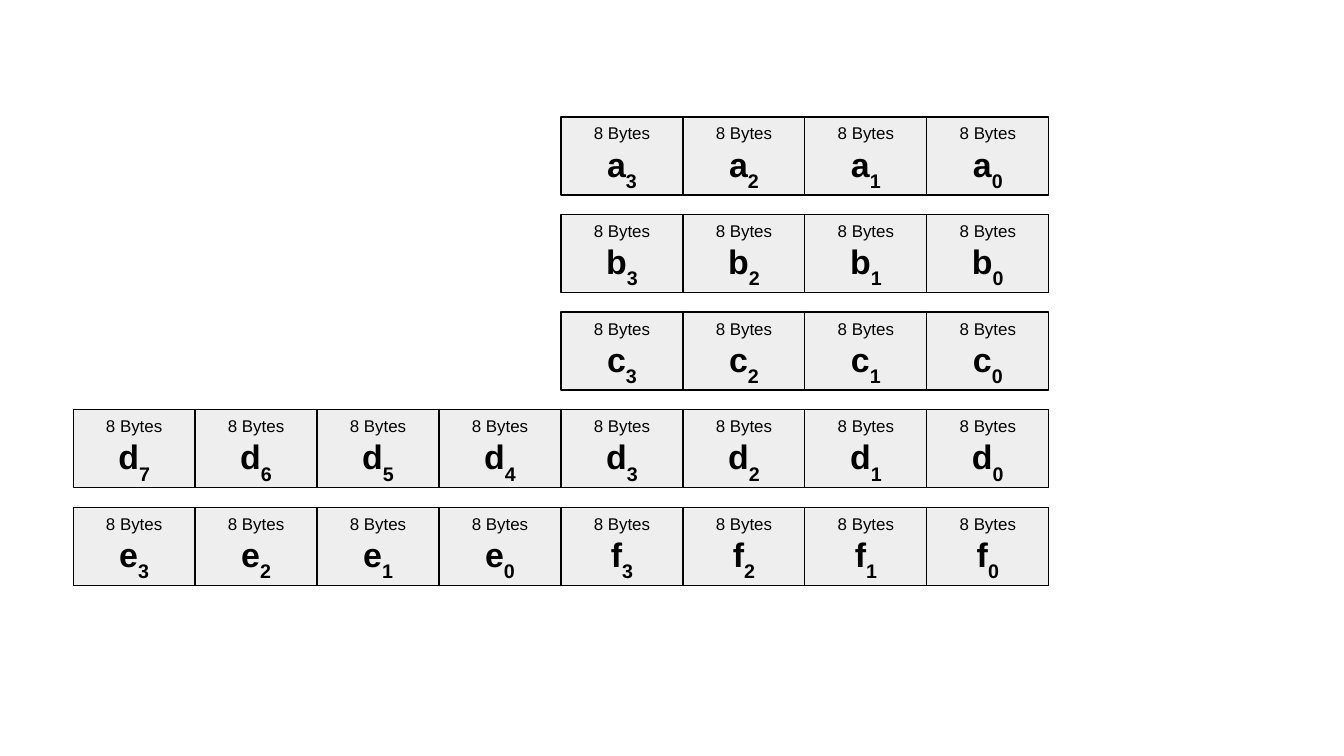
"""Draw the 8-byte words of the values a to f as rows of labelled cells."""
from pptx import Presentation, util as u
from pptx.dml.color import RGBColor
from pptx.enum import shapes, text

COLORS = {"cell": "EEEEEE", "ink": "000000"}
ROWS = [
    [("a", 4)],
    [("b", 4)],
    [("c", 4)],
    [("d", 8)],
    [("e", 4), ("f", 4)],
]
RIGHT, TOP = 8.6, 0.96
CELL_WIDTH, CELL_HEIGHT, ROW_PITCH = 1, 0.64, 0.8
FRAME = {
    "margin_left": u.Inches(0.1),
    "margin_right": u.Inches(0.1),
    "margin_top": u.Inches(0.05),
    "margin_bottom": u.Inches(0.05),
    "word_wrap": True,
    "auto_size": text.MSO_AUTO_SIZE.SHAPE_TO_FIT_TEXT,
    "vertical_anchor": text.MSO_ANCHOR.TOP,
}
SIZE_FONT = {"name": "Arial", "size": u.Pt(10), "bold": False}
WORD_FONT = {"name": "Arial", "size": u.Pt(20), "bold": True}


def add_run(paragraph, wording, font_format):
    run = paragraph.add_run()
    run.text = wording
    for key, value in font_format.items():
        setattr(run.font, key, value)
    run.font.color.rgb = RGBColor.from_string(COLORS["ink"])
    return run


prs = Presentation()
prs.slide_width, prs.slide_height = u.Inches(11.02), u.Inches(6.2)
slide = prs.slides.add_slide(prs.slide_layouts[6])

for row, values in enumerate(ROWS):
    words = [(letter, index) for letter, count in values
             for index in reversed(range(count))]
    left = RIGHT - len(words) * CELL_WIDTH
    for column, (letter, index) in enumerate(words):
        cell = slide.shapes.add_shape(
            shapes.MSO_SHAPE.RECTANGLE,
            u.Inches(left + column * CELL_WIDTH), u.Inches(TOP + row * ROW_PITCH),
            u.Inches(CELL_WIDTH), u.Inches(CELL_HEIGHT))
        cell.shadow.inherit = False
        cell.fill.solid()
        cell.fill.fore_color.rgb = RGBColor.from_string(COLORS["cell"])
        cell.line.color.rgb = RGBColor.from_string(COLORS["ink"])
        cell.line.width = u.Pt(0.71)

        frame = cell.text_frame
        for key, value in FRAME.items():
            setattr(frame, key, value)
        size_line, word_line = frame.paragraphs[0], frame.add_paragraph()
        size_line.alignment = word_line.alignment = text.PP_ALIGN.CENTER
        add_run(size_line, "8 Bytes", SIZE_FONT)
        add_run(word_line, letter, WORD_FONT)
        subscript = add_run(word_line, str(index), WORD_FONT)
        subscript._r.get_or_add_rPr().set("baseline", "-33000")

prs.save("out.pptx")
